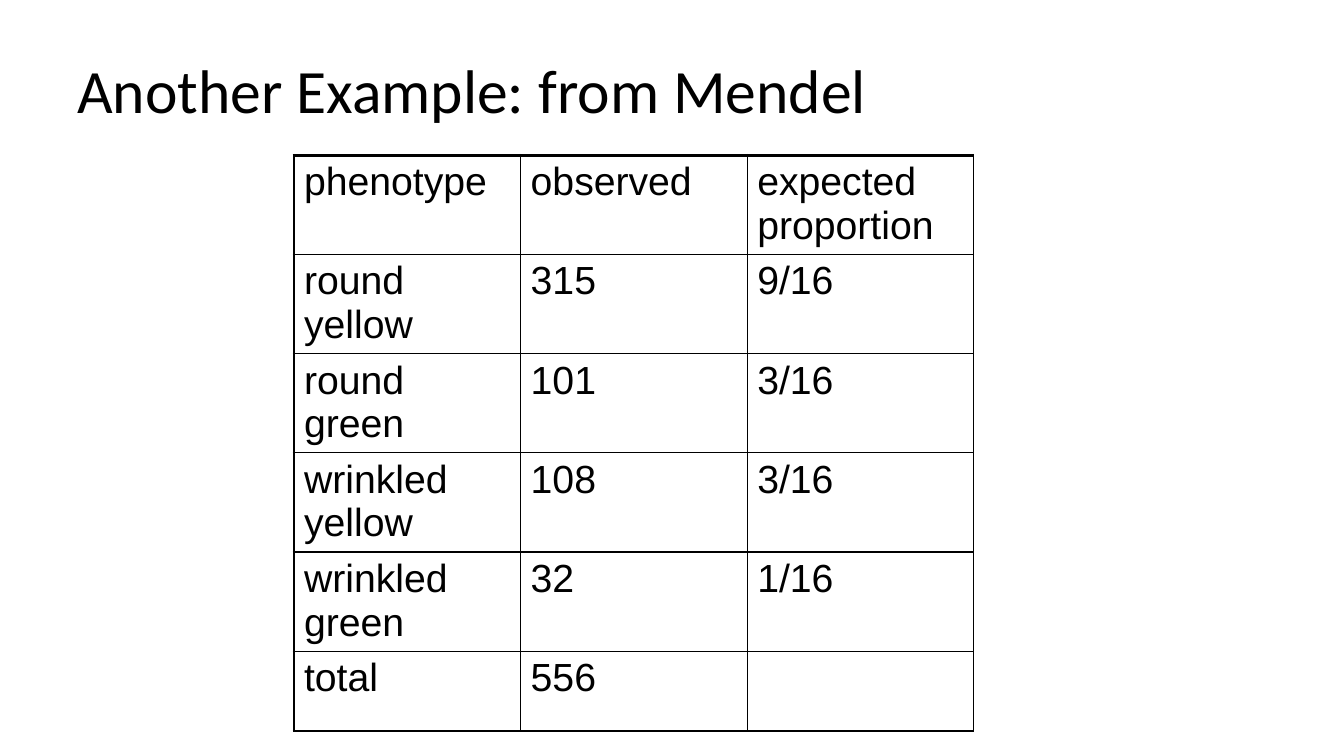
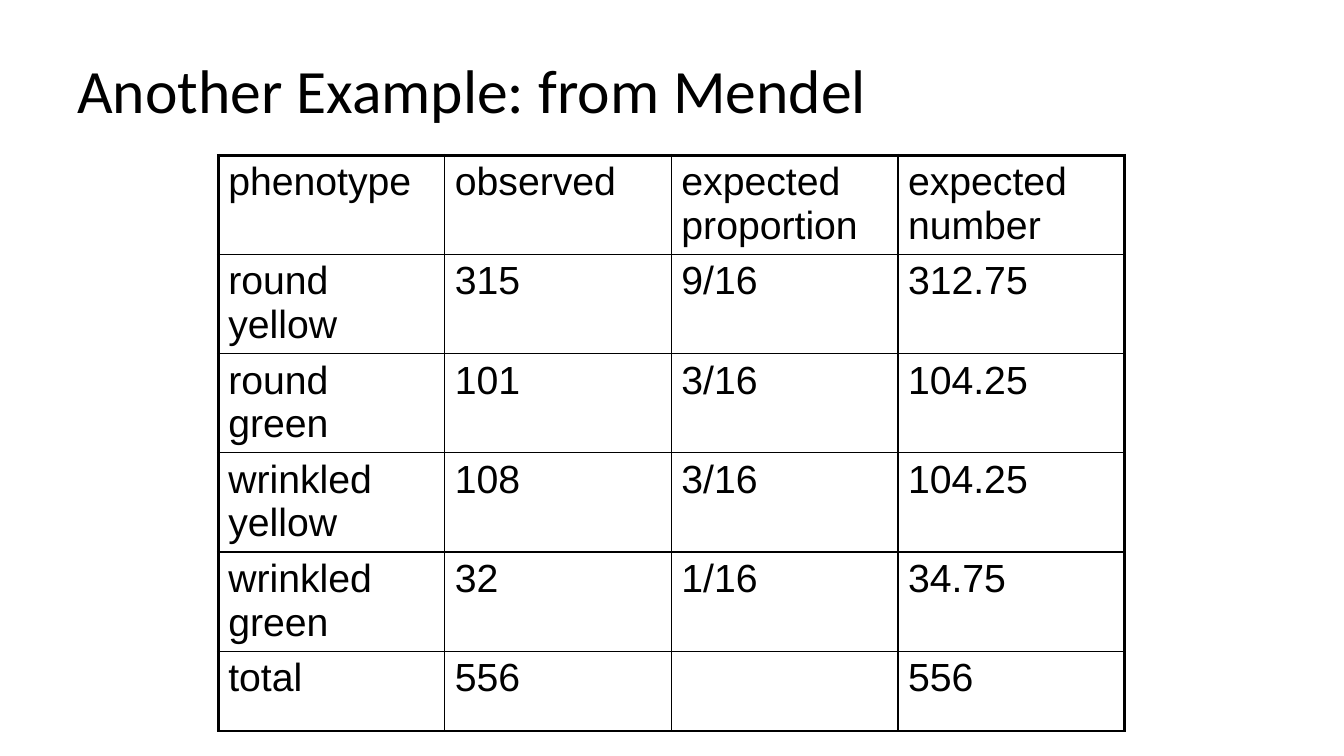
from lxml import etree
from pptx import Presentation
from pptx import util as u
from pptx.dml.color import RGBColor
from pptx.enum import text
from pptx.oxml.ns import qn

COLORS = {"ink": "000000", "paper": "FFFFFF"}
TITLE_FONT, TABLE_FONT = "Calibri", "Arial"
TITLE_BOX = (1.7, 0.76, 30.48, 3.18)
TABLE_TOP, COL_W, ROW_H, TOTAL_H = 3.91, 5.71, 2.46, 2.01
THICK, THIN = 2.25, 1

OBSERVED = [
    ("phenotype", "observed", "expected proportion"),
    ("round yellow", "315", "9/16"),
    ("round green", "101", "3/16"),
    ("wrinkled yellow", "108", "3/16"),
    ("wrinkled green", "32", "1/16"),
    ("total", "556", ""),
]
EXPECTED = ["expected number", "312.75", "104.25", "104.25", "34.75", "556"]


def rgb(name):
    return RGBColor.from_string(COLORS[name])


def style(p, font, size):
    p.font.name, p.font.size = font, u.Pt(size)
    p.font.color.rgb = rgb("ink")


def add_title(s, title, box):
    tf = s.shapes.add_textbox(*map(u.Cm, box)).text_frame
    tf.word_wrap = True
    tf.vertical_anchor = text.MSO_ANCHOR.MIDDLE
    p = tf.paragraphs[0]
    p.text, p.line_spacing = title, 0.9
    style(p, TITLE_FONT, 44)


def set_borders(cell, widths):
    """Draw the left, right, top and bottom lines, widths in points."""
    tcPr = cell._tc.get_or_add_tcPr()
    for side, width in zip("LRTB", widths):
        ln = etree.SubElement(tcPr, qn("a:ln" + side), w=str(u.Pt(width)))
        fill = etree.SubElement(ln, qn("a:solidFill"))
        etree.SubElement(fill, qn("a:srgbClr"), val=COLORS["ink"])


def add_grid(s, rows, left, top, right_line):
    n_rows, n_cols = len(rows), len(rows[0])
    heights = [ROW_H] * (n_rows - 1) + [TOTAL_H]
    table = s.shapes.add_table(n_rows, n_cols, u.Cm(left), u.Cm(top),
                               u.Cm(COL_W * n_cols), u.Cm(sum(heights))).table
    table.first_row = table.horz_banding = False
    for col in table.columns:
        col.width = u.Cm(COL_W)
    for i, (row, height) in enumerate(zip(rows, heights)):
        table.rows[i].height = u.Cm(height)
        for j, value in enumerate(row):
            cell = table.cell(i, j)
            # Heavier lines on the outside of the grid
            set_borders(cell, (THICK if j == 0 else THIN,
                               right_line if j == n_cols - 1 else THIN,
                               THICK if i == 0 else THIN,
                               THICK if i == n_rows - 1 else THIN))
            cell.fill.background()
            # No bottom margin, so two lines fit the row height
            cell.margin_bottom = 0
            p = cell.text_frame.paragraphs[0]
            if value:
                p.text = value
            p.space_before = p.space_after = u.Pt(0)
            style(p, TABLE_FONT, 28)


def add_table_slide(prs, rows, left, right_line):
    s = prs.slides.add_slide(prs.slide_layouts[6])
    s.background.fill.solid()
    s.background.fill.fore_color.rgb = rgb("paper")
    add_title(s, "Another Example: from Mendel", TITLE_BOX)
    add_grid(s, rows, left, TABLE_TOP, right_line)


def main():
    prs = Presentation()
    prs.slide_width, prs.slide_height = u.Cm(33.87), u.Cm(19.05)
    # Observed counts and expected proportions
    add_table_slide(prs, OBSERVED, 7.41, THIN)
    # The same table with the expected numbers
    full = [row + (number,) for row, number in zip(OBSERVED, EXPECTED)]
    add_table_slide(prs, full, 5.5, THICK)
    prs.save("out.pptx")


if __name__ == "__main__":
    main()
